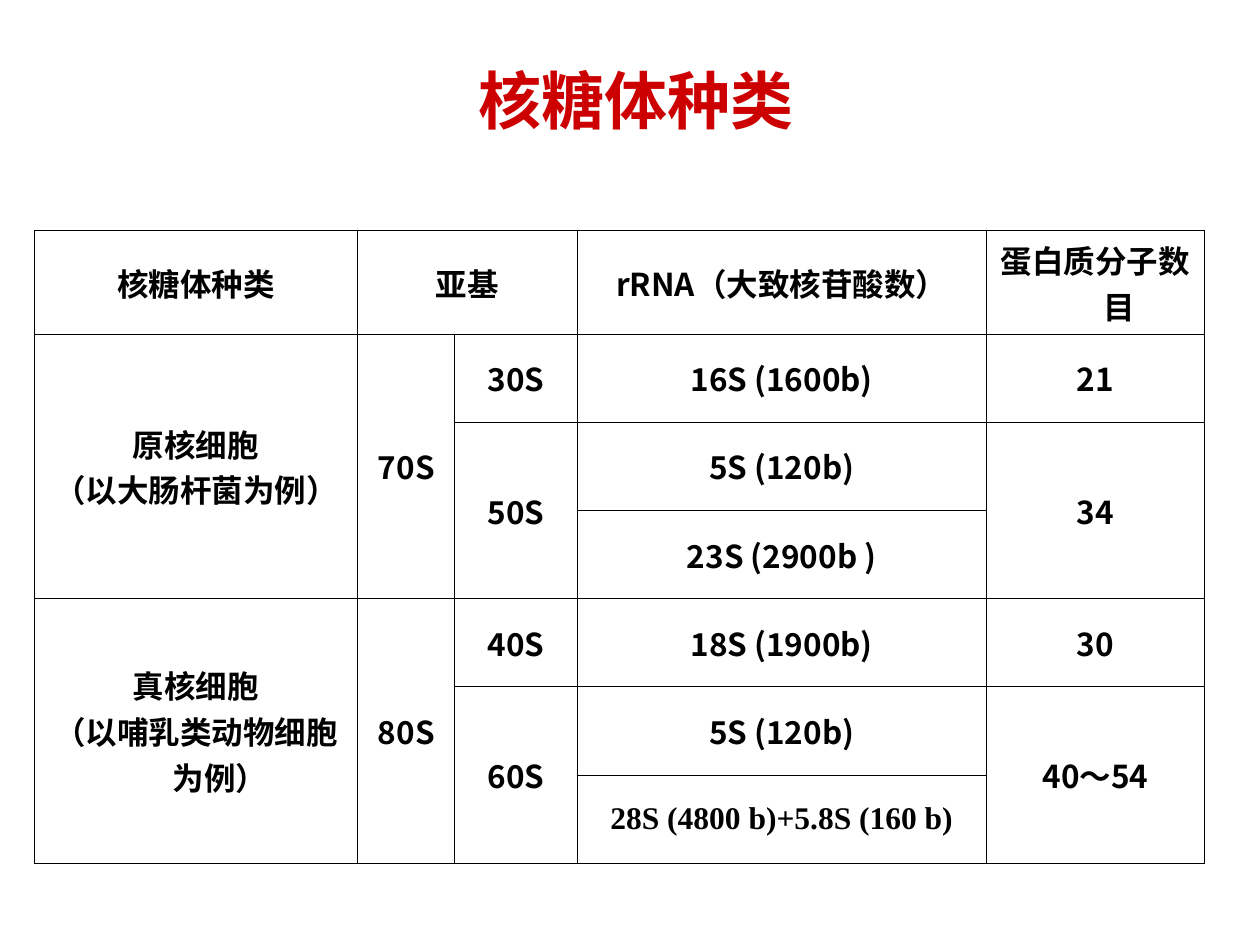
from dataclasses import dataclass

import pptx
import pptx.dml.color
import pptx.enum.text
import pptx.oxml
import pptx.oxml.ns
import pptx.util
from pptx.util import Inches


@dataclass(frozen=True)
class Theme:
    title_color: str = "CC0000"
    text_color: str = "000000"
    border_color: str = "000000"
    title_size: float = 36
    cell_size: float = 18
    border_width: float = 0.45
    font: str = "Noto Sans CJK SC"
    serif_font: str = "Times New Roman"


@dataclass(frozen=True)
class Entry:
    """Text of a table cell, with the rows and columns it covers."""
    row: int
    column: int
    lines: tuple[str, ...]
    rows: int = 1
    columns: int = 1
    font: str = Theme.font


@dataclass(frozen=True)
class Ribosome:
    """A ribosome kind: one rRNA in the small subunit, two in the large."""
    lines: tuple[str, str]
    whole: str
    small: str
    large: str
    rrna: tuple[str, str, str]
    proteins: tuple[str, str]
    last_rrna_font: str = Theme.font


THEME = Theme()
COLUMN_WIDTHS = (2.57, 0.77, 0.97, 3.25, 1.73)
HEADER_HEIGHT = 0.82
ROW_HEIGHT = 0.7
ROWS_PER_KIND = 3
HANGING_INDENT = Inches(0.38)

HEADERS = (
    Entry(0, 0, ("核糖体种类",)),
    Entry(0, 1, ("亚基",), columns=2),
    Entry(0, 3, ("rRNA（大致核苷酸数）",)),
    Entry(0, 4, ("蛋白质分子数目",)),
)
RIBOSOMES = (
    Ribosome(("原核细胞", "（以大肠杆菌为例）"), "70S", "30S", "50S",
             ("16S (1600b)", "5S (120b)", "23S (2900b )"), ("21", "34")),
    Ribosome(("真核细胞", "（以哺乳类动物细胞为例）"), "80S", "40S", "60S",
             ("18S (1900b)", "5S (120b)", "28S (4800 b)+5.8S (160 b)"),
             ("30", "40～54"), THEME.serif_font),
)


def ribosome_entries(ribosome: Ribosome, top: int) -> list[Entry]:
    small, middle, last = ribosome.rrna
    return [
        Entry(top, 0, ribosome.lines, rows=ROWS_PER_KIND),
        Entry(top, 1, (ribosome.whole,), rows=ROWS_PER_KIND),
        Entry(top, 2, (ribosome.small,)),
        Entry(top + 1, 2, (ribosome.large,), rows=2),
        Entry(top, 3, (small,)),
        Entry(top + 1, 3, (middle,)),
        Entry(top + 2, 3, (last,), font=ribosome.last_rrna_font),
        Entry(top, 4, (ribosome.proteins[0],)),
        Entry(top + 1, 4, (ribosome.proteins[1],), rows=2),
    ]


def add_bold_run(paragraph, text: str, size: float, color: str, font: str) -> None:
    paragraph.alignment = pptx.enum.text.PP_ALIGN.CENTER
    run = paragraph.add_run()
    run.text = text
    run.font.size = pptx.util.Pt(size)
    run.font.bold = True
    run.font.color.rgb = pptx.dml.color.RGBColor.from_string(color)
    run.font.name = font
    east_asian = pptx.oxml.parse_xml(
        f'<a:ea {pptx.oxml.ns.nsdecls("a")} typeface="{THEME.font}"/>')
    run.font._element.find(pptx.oxml.ns.qn("a:latin")).addnext(east_asian)


def add_title(slide, text: str) -> None:
    shape = slide.shapes.add_textbox(Inches(0.42), Inches(0.33), Inches(9.25), Inches(0.92))
    frame = shape.text_frame
    frame.word_wrap = True
    frame.vertical_anchor = pptx.enum.text.MSO_ANCHOR.MIDDLE
    add_bold_run(frame.paragraphs[0], text, THEME.title_size, THEME.title_color, THEME.font)


def style_cell(cell) -> None:
    """Clear the fill and draw a thin border on all four sides."""
    cell.fill.background()
    properties = cell._tc.get_or_add_tcPr()
    for index, side in enumerate(("lnL", "lnR", "lnT", "lnB")):
        properties.insert(index, pptx.oxml.parse_xml(
            f'<a:{side} {pptx.oxml.ns.nsdecls("a")} w="{pptx.util.Pt(THEME.border_width)}">'
            f'<a:solidFill><a:srgbClr val="{THEME.border_color}"/></a:solidFill></a:{side}>'))


def fill_entry(table, entry: Entry) -> None:
    cell = table.cell(entry.row, entry.column)
    if entry.rows > 1 or entry.columns > 1:
        cell.merge(table.cell(entry.row + entry.rows - 1, entry.column + entry.columns - 1))
    cell.vertical_anchor = pptx.enum.text.MSO_ANCHOR.MIDDLE
    frame = cell.text_frame
    for index, line in enumerate(entry.lines):
        paragraph = frame.add_paragraph() if index else frame.paragraphs[0]
        properties = paragraph._p.get_or_add_pPr()
        properties.set("marL", str(HANGING_INDENT))
        properties.set("indent", str(-HANGING_INDENT))
        add_bold_run(paragraph, line, THEME.cell_size, THEME.text_color, entry.font)


def add_ribosome_table(slide) -> None:
    heights = [HEADER_HEIGHT] + [ROW_HEIGHT] * ROWS_PER_KIND * len(RIBOSOMES)
    table = slide.shapes.add_table(
        len(heights), len(COLUMN_WIDTHS), Inches(0.27), Inches(1.83),
        Inches(sum(COLUMN_WIDTHS)), Inches(sum(heights))).table
    table.first_row = False
    table.horz_banding = False
    for column, width in zip(table.columns, COLUMN_WIDTHS):
        column.width = Inches(width)
    for row, height in zip(table.rows, heights):
        row.height = Inches(height)
    for cell in table.iter_cells():
        style_cell(cell)
    entries = list(HEADERS)
    for index, ribosome in enumerate(RIBOSOMES):
        entries += ribosome_entries(ribosome, 1 + index * ROWS_PER_KIND)
    for entry in entries:
        fill_entry(table, entry)


def main() -> None:
    presentation = pptx.Presentation()
    presentation.slide_width = Inches(10)
    presentation.slide_height = Inches(7.5)
    slide = presentation.slides.add_slide(presentation.slide_layouts[6])
    add_title(slide, "核糖体种类")
    add_ribosome_table(slide)
    presentation.save("out.pptx")


if __name__ == "__main__":
    main()
